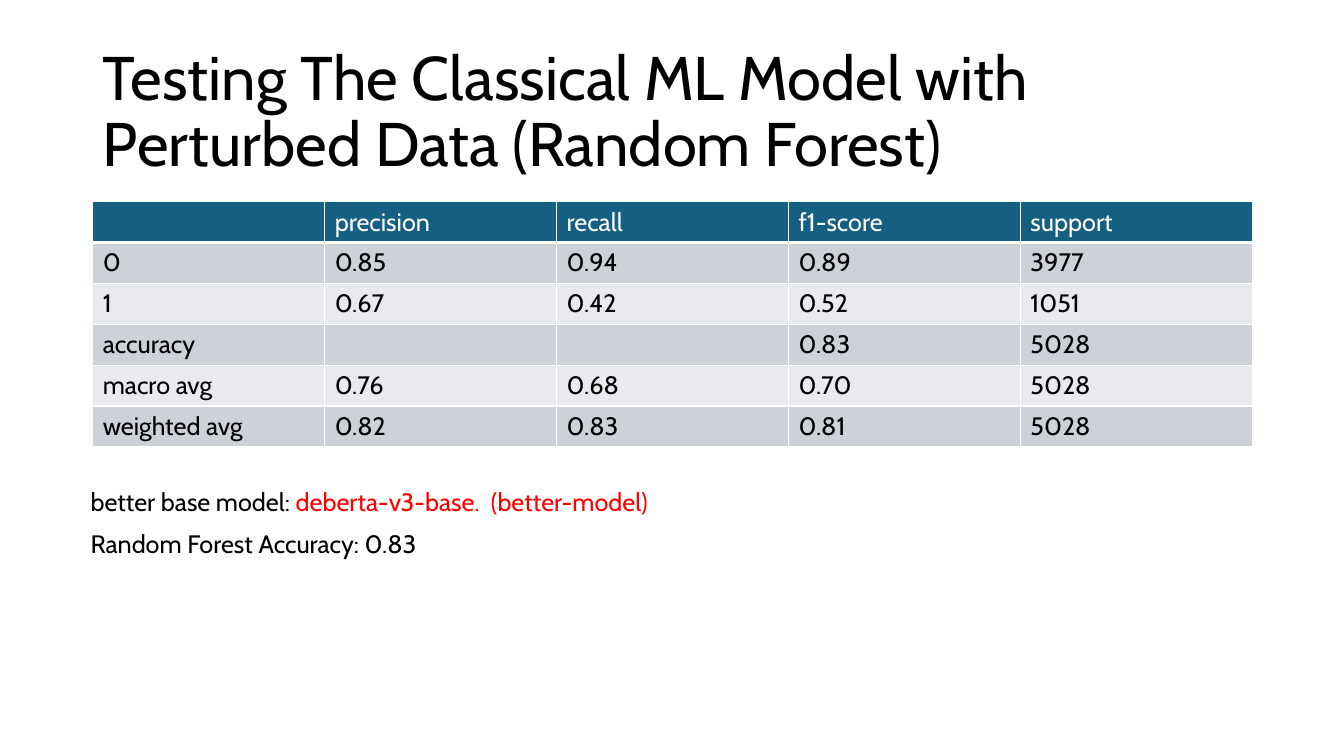
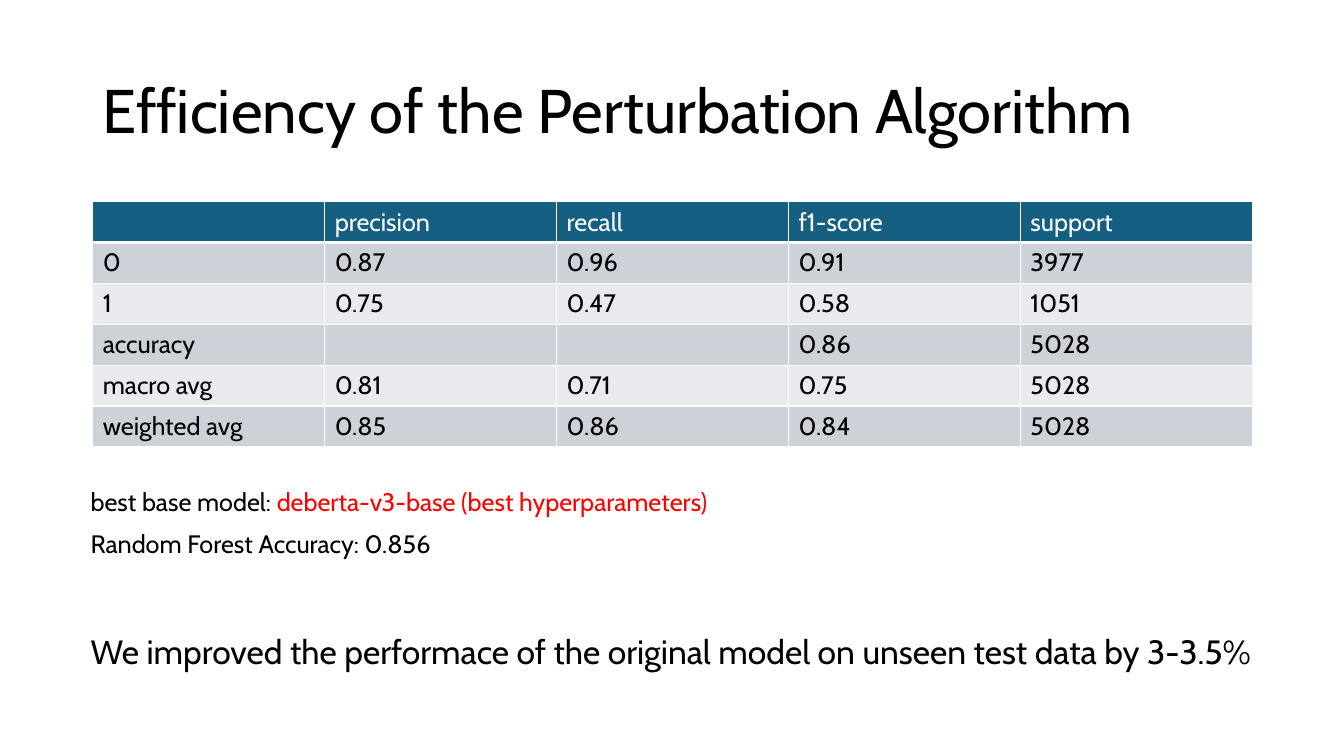
from dataclasses import dataclass

from lxml import etree
from pptx import Presentation
from pptx.dml.color import RGBColor
from pptx.enum.text import MSO_ANCHOR, MSO_AUTO_SIZE, PP_ALIGN
from pptx.oxml.ns import qn
from pptx.util import Inches, Pt

MIDDLE = MSO_ANCHOR.MIDDLE
NO_AUTOFIT = MSO_AUTO_SIZE.NONE
LEFT = PP_ALIGN.LEFT
TITLE_ONLY = 5


@dataclass(frozen=True)
class Theme:
    font: str = "Cabin"
    text: str = "000000"
    white: str = "FFFFFF"
    accent: str = "FF0000"
    header: str = "156082"
    bands: tuple = ("CCD2D8", "E8EAED")
    title_size: int = 44
    body_size: int = 18
    conclusion_size: int = 24
    border: int = 1
    header_border: int = 3


THEME = Theme()
MARGIN, CONTENT_WIDTH = 0.92, 11.5
TABLE_TOP, TABLE_HEIGHT = 2, 2.43
NOTE_LEFT, NOTE_WIDTH = 0.8, 11.87
HEADINGS = ("", "precision", "recall", "f1-score", "support")

SLIDES = [
    {
        "title": "Testing The Classical ML Model with Perturbed Data (Random Forest)",
        "scores": [
            ("0", "0.85", "0.94", "0.89", "3977"),
            ("1", "0.67", "0.42", "0.52", "1051"),
            ("accuracy", "", "", "0.83", "5028"),
            ("macro avg", "0.76", "0.68", "0.70", "5028"),
            ("weighted avg", "0.82", "0.83", "0.81", "5028"),
        ],
        # Each note: top, height, type size, (text, colour) runs
        "notes": [
            (4.78, 0.4, THEME.body_size, [
                ("better base model: ", THEME.text),
                ("deberta-v3-base.  (better-model)", THEME.accent)]),
            (5.19, 0.4, THEME.body_size, [("Random Forest Accuracy: 0.83", THEME.text)]),
        ],
    },
    {
        "title": "Efficiency of the Perturbation Algorithm",
        "scores": [
            ("0", "0.87", "0.96", "0.91", "3977"),
            ("1", "0.75", "0.47", "0.58", "1051"),
            ("accuracy", "", "", "0.86", "5028"),
            ("macro avg", "0.81", "0.71", "0.75", "5028"),
            ("weighted avg", "0.85", "0.86", "0.84", "5028"),
        ],
        "notes": [
            (4.78, 0.4, THEME.body_size, [
                ("best base model: ", THEME.text),
                ("deberta-v3-base (best hyperparameters)", THEME.accent)]),
            (5.19, 0.4, THEME.body_size, [("Random Forest Accuracy: 0.856", THEME.text)]),
            (6.21, 0.5, THEME.conclusion_size, [
                ("We improved the performace of the original model on unseen test data by 3-3.5%",
                 THEME.text)]),
        ],
    },
]


def add_text(paragraph, text, size=THEME.body_size, color=THEME.text):
    run = paragraph.add_run()
    run.text = text
    run.font.name = THEME.font
    run.font.size = Pt(size)
    run.font.color.rgb = RGBColor.from_string(color)


def set_borders(cell, top, bottom):
    """Draw white borders; top and bottom are widths in points."""
    properties = cell._tc.get_or_add_tcPr()
    widths = {"a:lnL": THEME.border, "a:lnR": THEME.border, "a:lnT": top, "a:lnB": bottom}
    for position, (tag, width) in enumerate(widths.items()):
        line = etree.Element(qn(tag), w=str(Pt(width)))
        fill = etree.SubElement(line, qn("a:solidFill"))
        etree.SubElement(fill, qn("a:srgbClr"), val=THEME.white)
        properties.insert(position, line)


presentation = Presentation()
presentation.slide_width = Inches(13.33)
presentation.slide_height = Inches(7.5)

layout = presentation.slide_layouts[TITLE_ONLY]
layout_title = layout.placeholders[0]
layout_title.left, layout_title.top = Inches(MARGIN), Inches(0.4)
layout_title.width, layout_title.height = Inches(CONTENT_WIDTH), Inches(1.45)

for content in SLIDES:
    slide = presentation.slides.add_slide(layout)

    title_frame = slide.shapes.title.text_frame
    title_frame.auto_size = NO_AUTOFIT
    title_frame.vertical_anchor = MIDDLE
    title_paragraph = title_frame.paragraphs[0]
    title_paragraph.alignment = LEFT
    title_paragraph.line_spacing = 0.9
    add_text(title_paragraph, content["title"], size=THEME.title_size)

    rows = [HEADINGS, *content["scores"]]
    table = slide.shapes.add_table(
        len(rows), len(HEADINGS), Inches(MARGIN), Inches(TABLE_TOP),
        Inches(CONTENT_WIDTH), Inches(TABLE_HEIGHT)).table
    for row_index, row in enumerate(rows):
        is_header = row_index == 0
        fill_color = THEME.header if is_header else THEME.bands[(row_index - 1) % 2]
        text_color = THEME.white if is_header else THEME.text
        top = THEME.header_border if row_index == 1 else THEME.border
        bottom = THEME.header_border if is_header else THEME.border
        for column_index, value in enumerate(row):
            cell = table.cell(row_index, column_index)
            cell.fill.solid()
            cell.fill.fore_color.rgb = RGBColor.from_string(fill_color)
            set_borders(cell, top, bottom)
            if value:
                add_text(cell.text_frame.paragraphs[0], value, color=text_color)

    for top, height, size, runs in content["notes"]:
        note = slide.shapes.add_textbox(
            Inches(NOTE_LEFT), Inches(top), Inches(NOTE_WIDTH), Inches(height))
        note.text_frame.word_wrap = True
        for text, color in runs:
            add_text(note.text_frame.paragraphs[0], text, size=size, color=color)

presentation.save("out.pptx")
